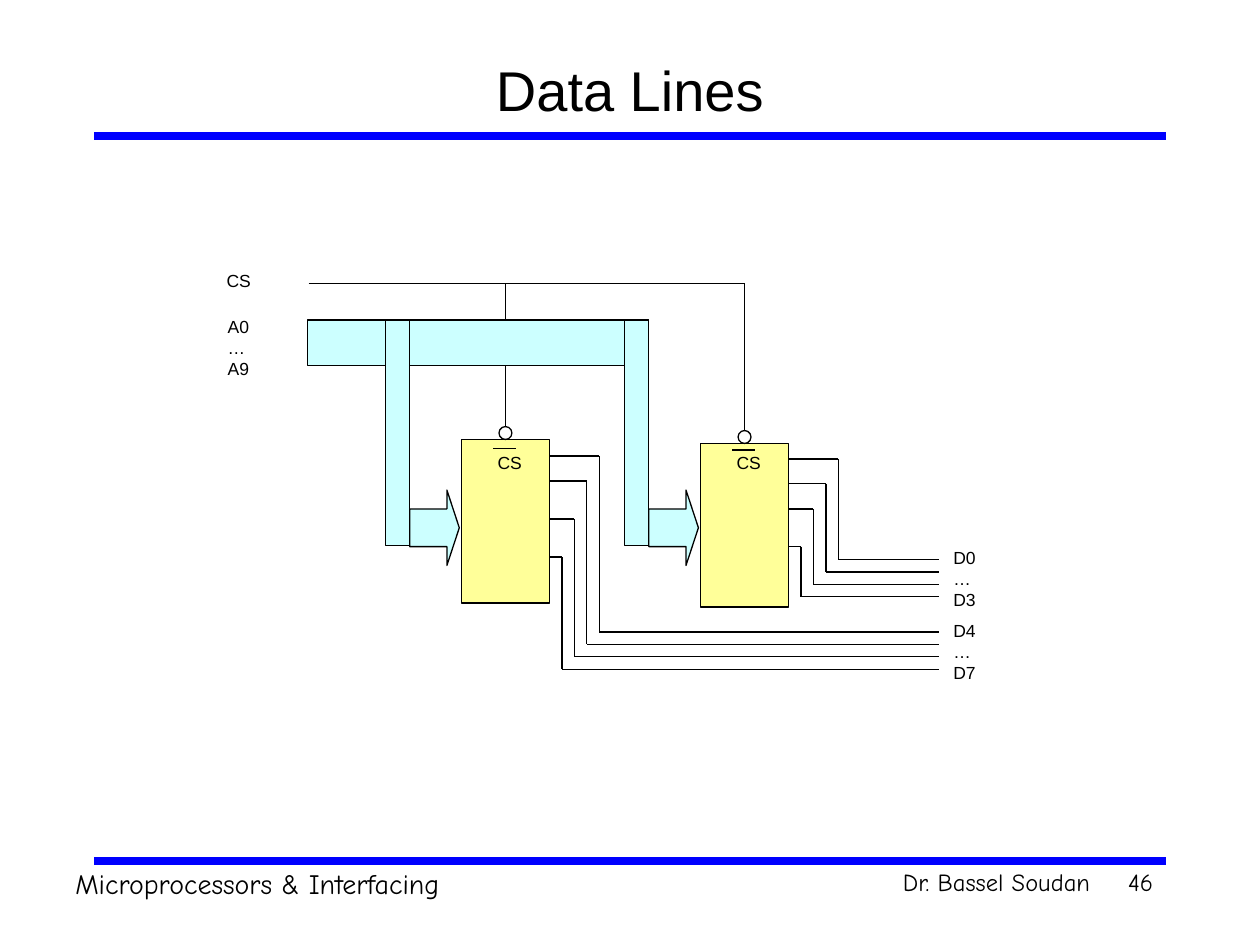
"""Build the Data Lines slide showing two memory chips that share an address bus."""
from dataclasses import dataclass

from lxml import etree
from pptx import Presentation
from pptx import util as u
from pptx.dml import color
from pptx.enum import shapes, text
from pptx.oxml import ns


@dataclass(frozen=True)
class Theme:
    """Colours, fonts and type sizes of the slide."""
    ink: str = "000000"
    rule: str = "0000FF"
    chip: str = "FFFF99"
    bus: str = "CCFFFF"
    paper: str = "FFFFFF"
    sans: str = "Arial"
    hand: str = "Comic Neue"
    title: float = 32
    footer: float = 16
    small_footer: float = 14
    label: float = 10
    thin: float = 0.75
    thick: float = 4.5


@dataclass(frozen=True)
class Chip:
    """Place of one chip, with its data pins, bends and output wires."""
    left: float
    top: float
    pins: tuple
    first_output: float
    overline: float


THEME = Theme()
SHAPE = shapes.MSO_SHAPE
ALIGN = text.PP_ALIGN
CHIP_WIDTH, CHIP_HEIGHT = 1.78, 3.3
BUBBLE = 0.26
WIRE_STEP = 0.25
WIRE_END = 18.92
SELECT_Y = 5.72
BUS_TOP, BUS_LEFT, BUS_HEIGHT = 6.45, 6.2, 0.92
BRANCH_WIDTH, BRANCH_HEIGHT = 0.49, 4.55
CHIPS = (
    Chip(9.3, 8.86, (9.19, 9.7, 10.46, 11.23), 12.74, 9.04),
    Chip(14.12, 8.94, (9.25, 9.75, 10.26, 11.02), 11.28, 9.07),
)


def place(shape, left, top, width, height):
    """Move and size a shape, in centimetres."""
    shape.left, shape.top = u.Cm(left), u.Cm(top)
    shape.width, shape.height = u.Cm(width), u.Cm(height)


def write(box, content, size, font=THEME.sans, align=ALIGN.LEFT,
          anchor=text.MSO_ANCHOR.TOP, wrap=True):
    """Fill a text holder, one paragraph for each line of content."""
    frame = box.text_frame
    frame.text = content
    frame.word_wrap = wrap
    frame.auto_size = text.MSO_AUTO_SIZE.NONE
    frame.vertical_anchor = anchor
    for para in frame.paragraphs:
        para.alignment = align
        for span in para.runs:
            span.font.size = u.Pt(size)
            span.font.name = font
            span.font.color.rgb = color.RGBColor.from_string(THEME.ink)


def add_label(page, content, left, top, width, height, size=THEME.label, **style):
    """Add a text box."""
    box = page.shapes.add_textbox(u.Cm(left), u.Cm(top), u.Cm(width), u.Cm(height))
    write(box, content, size, **style)


def add_block(page, kind, left, top, width, height, fill):
    """Add a filled, thinly outlined preset shape."""
    block = page.shapes.add_shape(
        kind, u.Cm(left), u.Cm(top), u.Cm(width), u.Cm(height))
    block.shadow.inherit = False
    block.fill.solid()
    block.fill.fore_color.rgb = color.RGBColor.from_string(fill)
    block.line.color.rgb = color.RGBColor.from_string(THEME.ink)
    block.line.width = u.Pt(THEME.thin)
    return block


def add_path(page, *points, ink=THEME.ink, weight=THEME.thin):
    """Join successive points with straight connectors."""
    for start, end in zip(points, points[1:]):
        line = page.shapes.add_connector(
            shapes.MSO_CONNECTOR.STRAIGHT, *map(u.Cm, start + end))
        line.line.color.rgb = color.RGBColor.from_string(ink)
        line.line.width = u.Pt(weight)
        etree.SubElement(line._element.spPr, ns.qn("a:effectLst"))


def add_frame(page):
    """Add the title, both rules and the footer."""
    for y in (17.35, 2.74):
        add_path(page, (1.9, y), (23.5, y), ink=THEME.rule, weight=THEME.thick)
    title = page.shapes.title
    place(title, 1.9, 0.85, 21.6, 1.9)
    write(title, "Data Lines", THEME.title, align=ALIGN.CENTER,
          anchor=text.MSO_ANCHOR.MIDDLE)
    add_label(page, "Microprocessors & Interfacing", 1.27, 17.35, 14.4, 0.94,
              THEME.footer, font=THEME.hand)
    add_label(page, "Dr. Bassel Soudan", 16.08, 17.35, 6.15, 0.86,
              THEME.small_footer, font=THEME.hand, align=ALIGN.RIGHT)
    add_label(page, "46", 22.43, 17.35, 1.07, 1.27,
              THEME.small_footer, font=THEME.hand, align=ALIGN.RIGHT)


def add_chip(page, chip):
    """Add a chip with its select line and data wires."""
    right = chip.left + CHIP_WIDTH
    middle = chip.left + CHIP_WIDTH / 2
    add_block(page, SHAPE.RECTANGLE, chip.left, chip.top,
              CHIP_WIDTH, CHIP_HEIGHT, THEME.chip)
    add_block(page, SHAPE.OVAL, middle - BUBBLE / 2, chip.top - BUBBLE,
              BUBBLE, BUBBLE, THEME.paper)
    add_path(page, (middle, SELECT_Y), (middle, chip.top - BUBBLE))
    for index, pin in enumerate(chip.pins):
        bend = right + WIRE_STEP * (4 - index)
        output = chip.first_output + WIRE_STEP * index
        add_path(page, (right, pin), (bend, pin), (bend, output), (WIRE_END, output))


def add_bus(page):
    """Add the address bus with one branch and arrow for each chip."""
    branches = [chip.left - 1.53 for chip in CHIPS]
    bus_width = branches[-1] + BRANCH_WIDTH - BUS_LEFT
    add_block(page, SHAPE.RECTANGLE, BUS_LEFT, BUS_TOP,
              bus_width, BUS_HEIGHT, THEME.bus)
    for left in branches:
        add_block(page, SHAPE.RECTANGLE, left, BUS_TOP,
                  BRANCH_WIDTH, BRANCH_HEIGHT, THEME.bus)
        arrow = add_block(page, SHAPE.RIGHT_ARROW, left + BRANCH_WIDTH, 9.88,
                          1.0, 1.52, THEME.bus)
        arrow.adjustments[0], arrow.adjustments[1] = 0.5, 0.25


def add_signal_names(page):
    """Name the select, address and data lines."""
    add_label(page, "CS", 4.32, 5.31, 0.99, 0.69, wrap=False)
    for chip in CHIPS:
        add_label(page, "CS", chip.left + 0.48, 8.99, 0.99, 0.69, wrap=False)
        start = chip.left + 0.64
        add_path(page, (start, chip.overline), (start + 0.46, chip.overline))
    for first, last, left, top in (
            ("A0", "A9", 4.34, 6.25), ("D0", "D3", 18.97, 10.9),
            ("D4", "D7", 18.97, 12.37)):
        add_label(page, f"{first}\n…\n{last}", left, top, 0.94, 1.52, wrap=False)


def main():
    """Build and save the deck."""
    deck = Presentation()
    deck.slide_width, deck.slide_height = u.Cm(25.4), u.Cm(19.05)
    page = deck.slides.add_slide(deck.slide_layouts[5])
    add_frame(page)
    add_path(page, (6.22, SELECT_Y), (CHIPS[-1].left + CHIP_WIDTH / 2, SELECT_Y))
    for chip in CHIPS:
        add_chip(page, chip)
    add_bus(page)
    add_signal_names(page)
    deck.save("out.pptx")


if __name__ == "__main__":
    main()
